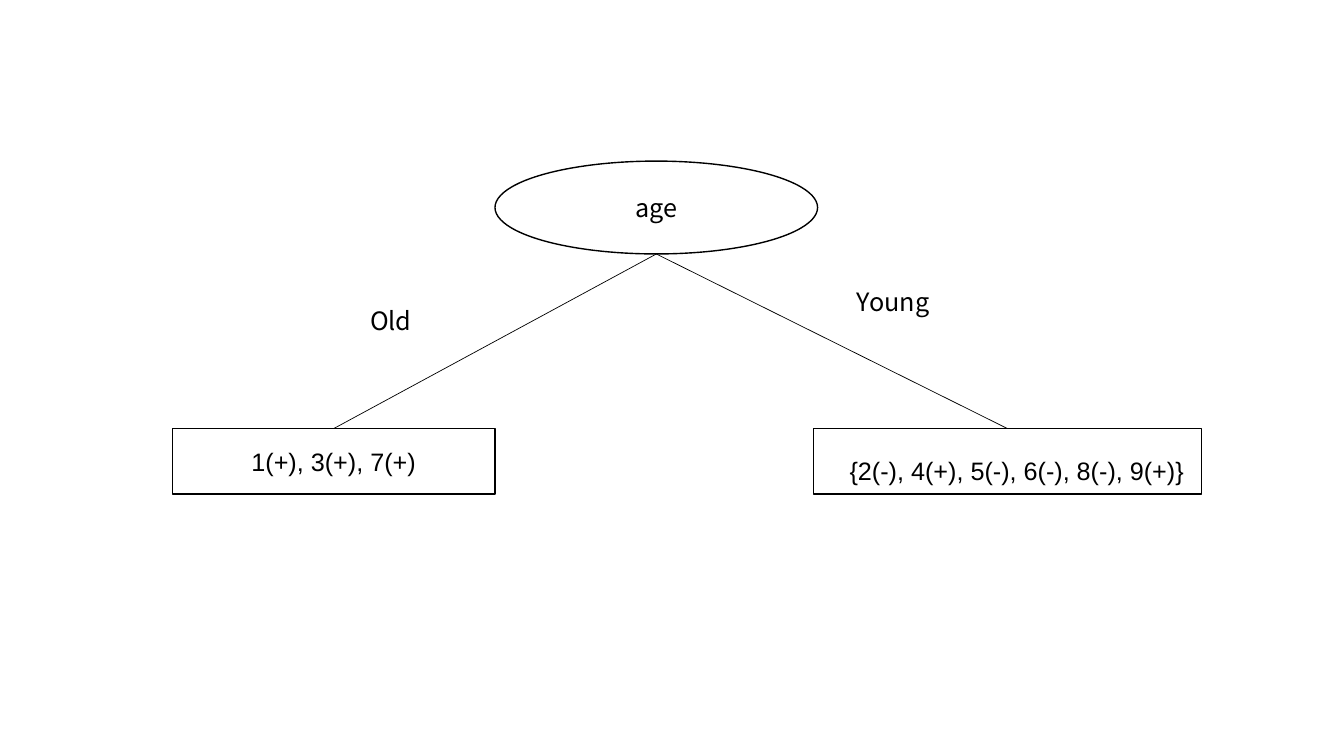
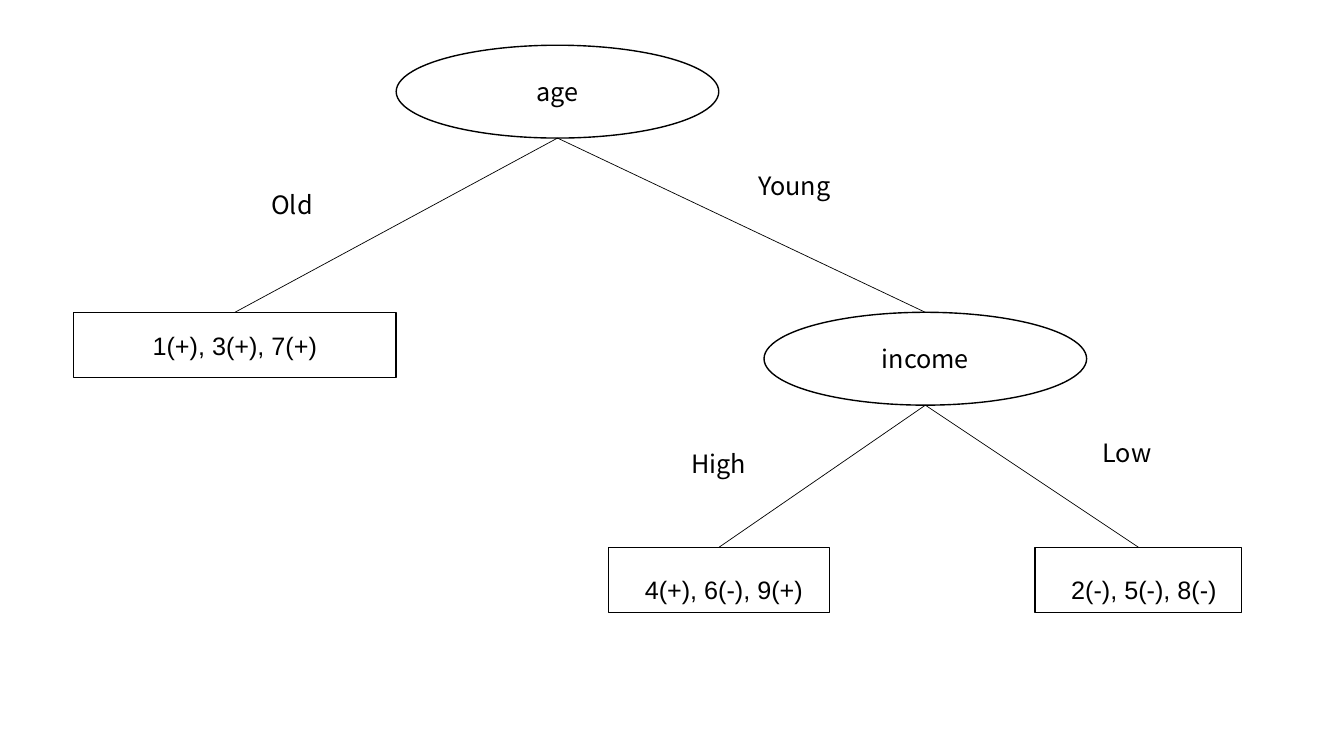
"""Build two slides that grow a decision tree from age to income."""

import dataclasses

import lxml.etree
import pptx
import pptx.dml.color
import pptx.enum.shapes
import pptx.enum.text
import pptx.oxml.ns
import pptx.shapes.autoshape
import pptx.slide
import pptx.util

Cm = pptx.util.Cm
Pt = pptx.util.Pt
SHAPES = pptx.enum.shapes.MSO_SHAPE
ALIGN = pptx.enum.text.PP_ALIGN

COLOURS = {"ink": "000000", "paper": "FFFFFF"}
LATIN_FONT = "Arial"
WORD_FONT = "Noto Sans CJK KR"
NODE_WIDTH = 8.13
QUESTION_HEIGHT = 2.34
LEAF_HEIGHT = 1.65


@dataclasses.dataclass(frozen=True)
class Label:
    text: str
    offset_x: float
    offset_y: float
    width: float = 4.88
    height: float = 1.17


@dataclasses.dataclass(frozen=True)
class Leaf:
    text: str
    center: float
    top: float
    width: float = NODE_WIDTH
    indented: bool = False


@dataclasses.dataclass(frozen=True)
class Branch:
    label: Label
    child: "Leaf | Question"


@dataclasses.dataclass(frozen=True)
class Question:
    text: str
    center: float
    top: float
    branches: tuple[Branch, ...]


OLD = Label("Old", -6.69, 4.01, 5.36, 1.02)
YOUNG = Label("Young", 5.97, 3.53)
HIGH = Label("High", -5.21, 3.81)
LOW = Label("Low", 5.08, 3.53)


def age_tree(center: float, top: float, young_child: Leaf | Question) -> Question:
    old_leaf = Leaf("1(+), 3(+), 7(+)", center - NODE_WIDTH, young_child.top)
    return Question("age", center, top, (Branch(OLD, old_leaf), Branch(YOUNG, young_child)))


INCOME = Question("income", 23.32, 7.87, (
    Branch(HIGH, Leaf("4(+), 6(-), 9(+)", 18.12, 13.79, 5.56, True)),
    Branch(LOW, Leaf("2(-), 5(-), 8(-)", 28.69, 13.79, 5.21, True)),
))
TREES = (
    age_tree(16.54, 4.06, Leaf("{2(-), 4(+), 5(-), 6(-), 8(-), 9(+)}", 25.39, 10.8, 9.78, True)),
    age_tree(14.05, 1.14, INCOME),
)


def colour(name: str) -> pptx.dml.color.RGBColor:
    return pptx.dml.color.RGBColor.from_string(COLOURS[name])


def draw_box(
    page: pptx.slide.Slide,
    kind: pptx.enum.shapes.MSO_SHAPE,
    text: str,
    center: float,
    top: float,
    width: float,
    height: float,
    font: str = WORD_FONT,
    outline: str = "ink",
) -> pptx.shapes.autoshape.Shape:
    box = page.shapes.add_shape(kind, Cm(center - width / 2), Cm(top), Cm(width), Cm(height))
    box.shadow.inherit = False
    box.fill.solid()
    box.fill.fore_color.rgb = colour("paper")
    box.line.color.rgb = colour(outline)
    box.line.width = Pt(1)
    frame = box.text_frame
    frame.text = text
    frame.word_wrap = True
    frame.vertical_anchor = pptx.enum.text.MSO_ANCHOR.MIDDLE
    para = frame.paragraphs[0]
    para.alignment = ALIGN.CENTER
    span = para.runs[0]
    span.font.name = font
    span.font.size = Pt(18)
    span.font.color.rgb = colour("ink")
    return box


def draw_leaf(page: pptx.slide.Slide, leaf: Leaf) -> None:
    box = draw_box(page, SHAPES.RECTANGLE, leaf.text, leaf.center, leaf.top,
                   leaf.width, LEAF_HEIGHT, LATIN_FONT)
    if leaf.indented:
        para = box.text_frame.paragraphs[0]
        para.alignment = ALIGN.LEFT
        para.line_spacing = 1.6
        properties = para._p.get_or_add_pPr()
        properties.set("marL", str(Cm(1.19)))
        properties.set("indent", str(Cm(-0.53)))


def draw_edge(page: pptx.slide.Slide, parent: Question, child: Leaf | Question) -> None:
    edge = page.shapes.add_connector(
        pptx.enum.shapes.MSO_CONNECTOR.STRAIGHT,
        Cm(parent.center), Cm(parent.top + QUESTION_HEIGHT), Cm(child.center), Cm(child.top))
    edge.line.color.rgb = colour("ink")
    edge.line.width = Pt(0.5)
    lxml.etree.SubElement(edge._element.spPr, pptx.oxml.ns.qn("a:effectLst"))


def draw_question(page: pptx.slide.Slide, question: Question) -> None:
    draw_box(page, SHAPES.OVAL, question.text, question.center, question.top,
             NODE_WIDTH, QUESTION_HEIGHT)
    for branch in question.branches:
        draw_edge(page, question, branch.child)
        label = branch.label
        draw_box(page, SHAPES.OVAL, label.text, question.center + label.offset_x,
                 question.top + label.offset_y - label.height / 2,
                 label.width, label.height, outline="paper")
        if isinstance(branch.child, Question):
            draw_question(page, branch.child)
        else:
            draw_leaf(page, branch.child)


def build_deck() -> None:
    deck = pptx.Presentation()
    deck.slide_width, deck.slide_height = Cm(33.87), Cm(19.05)
    for tree in TREES:
        page = deck.slides.add_slide(deck.slide_layouts[6])
        draw_question(page, tree)
    deck.save("out.pptx")


build_deck()
